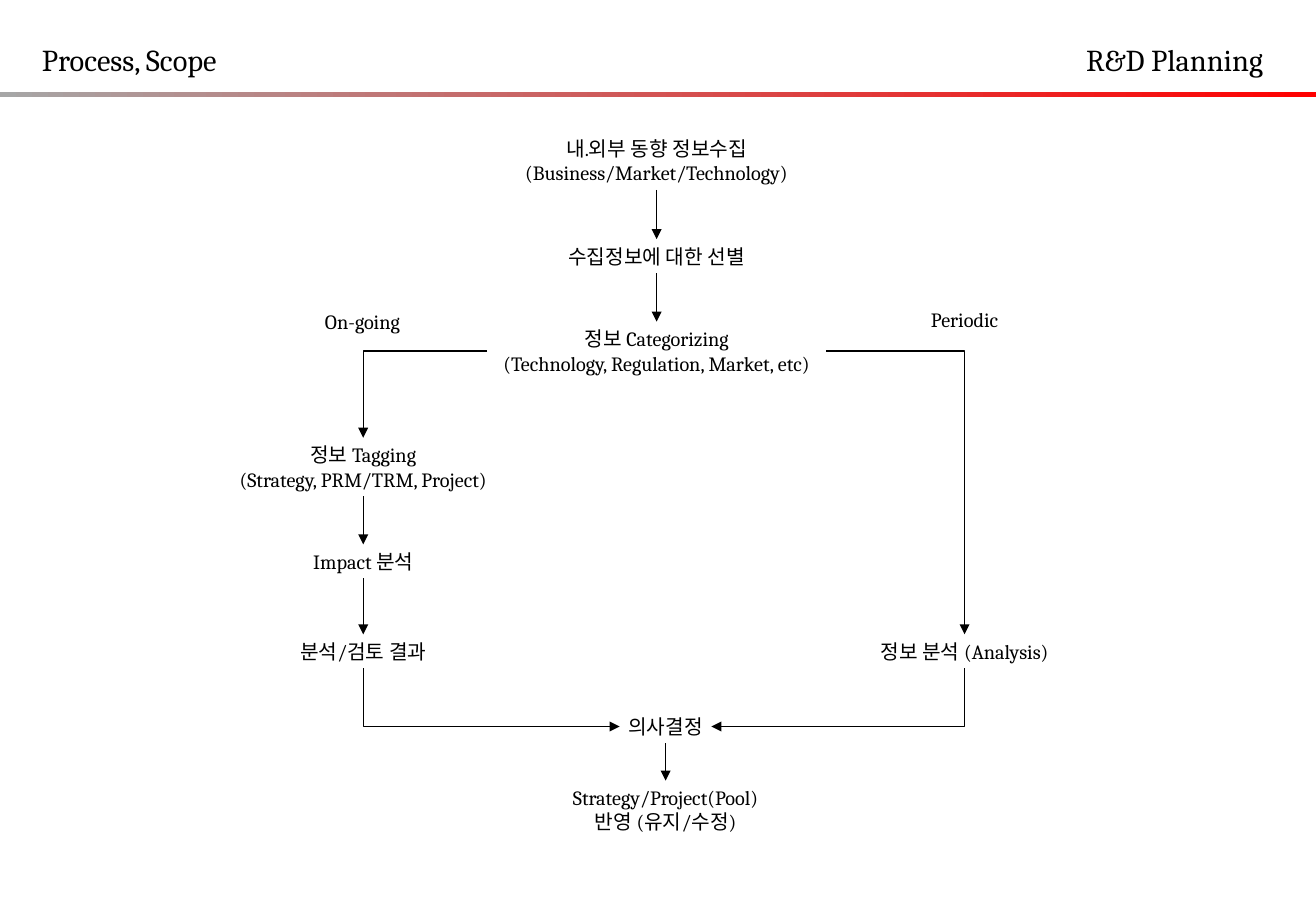
from dataclasses import dataclass

from lxml import etree
from pptx import Presentation
from pptx.dml.color import RGBColor
from pptx.enum import shapes, text
from pptx.oxml import ns
from pptx.util import Pt


@dataclass(frozen=True)
class Theme:
    font: str = "Cambria"
    ink: RGBColor = RGBColor(0, 0, 0)
    bar_start: RGBColor = RGBColor(0xA6, 0xA6, 0xA6)
    bar_end: RGBColor = RGBColor(0xFF, 0, 0)
    heading_size: int = 18
    step_size: int = 12
    line_width: float = 0.75
    step_inset: float = 2.88


THEME = Theme()
PAGE_WIDTH, PAGE_HEIGHT = 780, 540
MAIN, LEFT, RIGHT, DECISION = 389.2, 215.3, 571.7, 394.5
ONE_LINE, LINE_STEP = 20.1, 14.7

STEPS = {
    "collect": (MAIN, 77.8, 168.5, ["내.외부 동향 정보수집", "(Business/Market/Technology)"]),
    "select": (MAIN, 141.8, 120.2, ["수집정보에 대한 선별"]),
    "categorize": (MAIN, 190.7, 201, ["정보 Categorizing", "(Technology, Regulation, Market, etc)"]),
    "tag": (LEFT, 259.5, 159, ["정보 Tagging", "(Strategy, PRM/TRM, Project)"]),
    "impact": (LEFT, 322.7, 68.4, ["Impact 분석"]),
    "result": (LEFT, 376, 87, ["분석/검토 결과"]),
    "analysis": (RIGHT, 376, 111.6, ["정보 분석 (Analysis)"]),
    "decide": (DECISION, 420.6, 54.4, ["의사결정"]),
    "apply": (DECISION, 462.7, 123, ["Strategy/Project(Pool)", "반영 (유지/수정)"]),
    "ongoing": (LEFT - 0.4, 180.6, 53.3, ["On-going"]),
    "periodic": (RIGHT, 179.5, 49, ["Periodic"]),
}

STRAIGHT_ARROWS = [
    ("collect", "select"),
    ("select", "categorize"),
    ("tag", "impact"),
    ("impact", "result"),
    ("decide", "apply"),
]


def write_lines(box, lines, size, align):
    frame = box.text_frame
    frame.word_wrap = False
    frame.auto_size = text.MSO_AUTO_SIZE.NONE
    frame.vertical_anchor = text.MSO_ANCHOR.TOP
    for index, line in enumerate(lines):
        para = frame.add_paragraph() if index else frame.paragraphs[0]
        para.alignment = align
        span = para.add_run()
        span.text = line
        span.font.name = THEME.font
        span.font.size = Pt(size)
        span.font.color.rgb = THEME.ink


def add_heading(box, left, width, line):
    box.left, box.top, box.width, box.height = Pt(left), Pt(21), Pt(width), Pt(29)
    write_lines(box, [line], THEME.heading_size, text.PP_ALIGN.LEFT)


def add_bar(page):
    bar = page.shapes.add_shape(
        shapes.MSO_SHAPE.RECTANGLE, 0, Pt(54.7), Pt(PAGE_WIDTH), Pt(3))
    bar.shadow.inherit = False
    bar.line.fill.background()
    bar.fill.gradient()
    bar.fill.gradient_angle = 0
    for stop, position, color in zip(
            bar.fill.gradient_stops, (0, 1), (THEME.bar_start, THEME.bar_end)):
        stop.position = position
        stop.color.rgb = color


def add_step(page, center, top, width, lines):
    height = ONE_LINE + LINE_STEP * (len(lines) - 1)
    box = page.shapes.add_textbox(
        Pt(center - width / 2), Pt(top), Pt(width), Pt(height))
    frame = box.text_frame
    frame.margin_left = frame.margin_right = Pt(THEME.step_inset)
    frame.margin_top = frame.margin_bottom = Pt(THEME.step_inset)
    write_lines(box, lines, THEME.step_size, text.PP_ALIGN.CENTER)
    return box


def add_arrow(page, start, end, bent=False, head="tailEnd"):
    arrow = page.shapes.add_connector(
        shapes.MSO_CONNECTOR.ELBOW if bent else shapes.MSO_CONNECTOR.STRAIGHT,
        *start, *end)
    arrow.line.color.rgb = THEME.ink
    arrow.line.width = Pt(THEME.line_width)
    properties = arrow.element.spPr
    if bent:
        properties.find(ns.qn("a:prstGeom")).set("prst", "bentConnector2")
    outline = properties.find(ns.qn("a:ln"))
    etree.SubElement(outline, ns.qn(f"a:{head}"), type="triangle")
    etree.SubElement(properties, ns.qn("a:effectLst"))


def top_of(box):
    return box.left + box.width // 2, box.top


def bottom_of(box):
    return box.left + box.width // 2, box.top + box.height


def left_of(box):
    return box.left, box.top + box.height // 2


def right_of(box):
    return box.left + box.width, box.top + box.height // 2


def main():
    deck = Presentation()
    deck.slide_width, deck.slide_height = Pt(PAGE_WIDTH), Pt(PAGE_HEIGHT)
    page = deck.slides.add_slide(deck.slide_layouts.get_by_name("Title Only"))

    add_bar(page)
    add_heading(page.shapes.title, 17.7, 127.5, "Process, Scope")
    add_heading(page.shapes.add_textbox(0, 0, 0, 0), 636.7, 126.7, "R&D Planning")

    boxes = {name: add_step(page, *step) for name, step in STEPS.items()}
    for source, target in STRAIGHT_ARROWS:
        add_arrow(page, bottom_of(boxes[source]), top_of(boxes[target]))

    for side, branch_start, branch_end in (
            (left_of, "tag", "result"), (right_of, "analysis", "analysis")):
        add_arrow(page, side(boxes["categorize"]), top_of(boxes[branch_start]), bent=True)
        add_arrow(page, side(boxes["decide"]), bottom_of(boxes[branch_end]),
                  bent=True, head="headEnd")

    deck.save("out.pptx")


if __name__ == "__main__":
    main()
